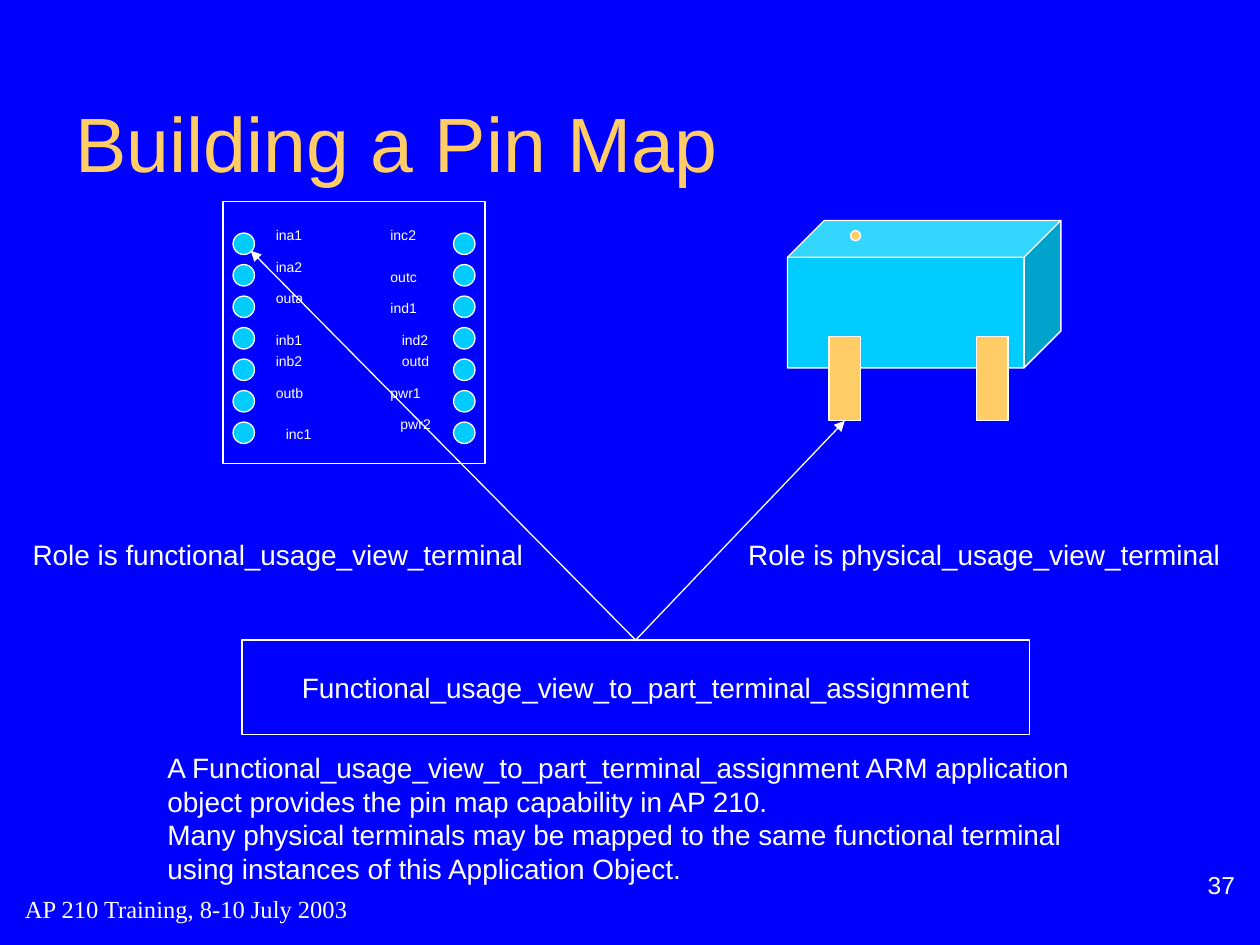
"""Builds the Pin Map slide: package terminals mapped to functional terminals."""
from dataclasses import dataclass

from lxml import etree
from pptx import Presentation
from pptx import util as u
from pptx.dml.color import RGBColor
from pptx.enum import shapes, text
from pptx.oxml.ns import qn


@dataclass(frozen=True)
class Theme:
    background: str = "0000FF"
    ink: str = "FFFFFF"
    accent: str = "FFCC66"
    body: str = "00CCFF"
    sans: str = "Arial"
    serif: str = "Times New Roman"
    title: int = 44
    text: int = 16
    footer: int = 14
    pin: int = 8
    line: float = 0.75


THEME = Theme()
KIND = shapes.MSO_SHAPE
ALIGN = text.PP_ALIGN
ANCHOR = text.MSO_ANCHOR
PIN_TOP, PIN_STEP, PIN_SIZE = 1.85, 0.25, 0.17
PIN_COLUMNS = (1.85, 3.6)
PIN_LABELS = [
    ("ina1", 2.09, 1.75, 0.41), ("ina2", 2.09, 2, 0.41),
    ("outa", 2.09, 2.25, 0.41), ("inb1", 2.09, 2.58, 0.41),
    ("inb2", 2.09, 2.75, 0.41), ("outb", 2.09, 3, 0.41),
    ("inc1", 2.17, 3.33, 0.4), ("inc2", 3, 1.75, 0.4),
    ("outc", 3, 2.08, 0.41), ("ind1", 3, 2.33, 0.41),
    ("ind2", 3.09, 2.58, 0.41), ("outd", 3.09, 2.75, 0.41),
    ("pwr1", 3, 3, 0.44), ("pwr2", 3.08, 3.25, 0.44),
]
NOTES = [
    "A Functional_usage_view_to_part_terminal_assignment ARM application "
    "object provides the pin map capability in AP 210.",
    "Many physical terminals may be mapped to the same functional terminal "
    "using instances of this Application Object.",
]


def color(value):
    return RGBColor.from_string(value)


def place(*lengths):
    return [u.Inches(length) for length in lengths]


def write(frame, lines, size, ink=THEME.ink, font=THEME.sans, align=ALIGN.LEFT,
          anchor=ANCHOR.TOP, wrap=True):
    frame.word_wrap = wrap
    frame.vertical_anchor = anchor
    for index, line in enumerate(lines):
        para = frame.add_paragraph() if index else frame.paragraphs[0]
        para.alignment = align
        span = para.add_run()
        span.text = line
        span.font.size = u.Pt(size)
        span.font.name = font
        span.font.color.rgb = color(ink)


def add_label(page, lines, at, size, **style):
    frame = page.shapes.add_textbox(*place(*at)).text_frame
    write(frame, lines, size, **style)
    return frame


def add_caption(page, words, at, size):
    """Adds a one-line label whose right margin is left free for the text."""
    add_label(page, [words], at, size).margin_right = 0


def add_outlined(page, kind, at, fill=None):
    box = page.shapes.add_shape(kind, *place(*at))
    box.shadow.inherit = False
    if fill:
        box.fill.solid()
        box.fill.fore_color.rgb = color(fill)
    else:
        box.fill.background()
    box.line.color.rgb = color(THEME.ink)
    box.line.width = u.Pt(THEME.line)
    return box


def add_arrow(page, source, end):
    arrow = page.shapes.add_connector(shapes.MSO_CONNECTOR.STRAIGHT, 0, 0, *place(*end))
    arrow.begin_connect(source, 0)
    arrow.line.color.rgb = color(THEME.ink)
    arrow.line.width = u.Pt(THEME.line)
    etree.SubElement(arrow.line._get_or_add_ln(), qn("a:tailEnd"), type="triangle")
    etree.SubElement(arrow._element.spPr, qn("a:effectLst"))
    return arrow


def add_title(page, words):
    title = page.shapes.title
    title.left, title.top, title.width, title.height = place(0.5, 0.5, 9, 1.25)
    write(title.text_frame, [words], THEME.title, ink=THEME.accent, anchor=ANCHOR.MIDDLE)


def add_package(page):
    """Draws the physical part and returns its left leg."""
    cube = add_outlined(page, KIND.CUBE, (6.25, 1.75, 2.17, 1.17), THEME.body)
    cube.adjustments[0] = 0.25
    legs = [add_outlined(page, KIND.RECTANGLE, (left, 2.67, 0.25, 0.67), THEME.accent)
            for left in (6.58, 7.75)]
    add_outlined(page, KIND.OVAL, (6.75, 1.83, 0.08, 0.08), THEME.accent)
    return legs[0]


def add_functional_view(page):
    add_outlined(page, KIND.RECTANGLE, (1.77, 1.6, 2.08, 2.08))
    for left in PIN_COLUMNS:
        for row in range(len(PIN_LABELS) // len(PIN_COLUMNS)):
            top = PIN_TOP + row * PIN_STEP
            add_outlined(page, KIND.OVAL, (left, top, PIN_SIZE, PIN_SIZE), THEME.body)
    for name, left, top, width in PIN_LABELS:
        add_caption(page, name, (left, top, width, 0.24), THEME.pin)


def add_assignment(page, leg):
    box = add_outlined(page, KIND.RECTANGLE, (1.92, 5.08, 6.25, 0.75))
    write(box.text_frame, ["Functional_usage_view_to_part_terminal_assignment"],
          THEME.text, align=ALIGN.CENTER, anchor=ANCHOR.MIDDLE, wrap=False)
    add_arrow(page, box, (6.71, 3.33)).end_connect(leg, 2)
    add_arrow(page, box, (1.99, 1.99))
    add_caption(page, "Role is physical_usage_view_terminal",
                (5.84, 4.22, 3.94, 0.37), THEME.text)
    add_caption(page, "Role is functional_usage_view_terminal",
                (0.16, 4.22, 4.09, 0.37), THEME.text)


def add_footer(page):
    add_label(page, ["AP 210 Training, 8-10 July 2003"], (0.1, 6.96, 4.67, 0.5),
              THEME.footer, font=THEME.serif, anchor=ANCHOR.MIDDLE)
    number = add_label(page, ["37"], (7.85, 6.72, 2.05, 0.42), THEME.footer,
                       align=ALIGN.RIGHT, anchor=ANCHOR.BOTTOM)
    number.margin_top = number.margin_bottom = 0


def main():
    deck = Presentation()
    deck.slide_width, deck.slide_height = place(10, 7.5)
    page = deck.slides.add_slide(deck.slide_layouts.get_by_name("Title Only"))
    page.background.fill.solid()
    page.background.fill.fore_color.rgb = color(THEME.background)
    add_title(page, "Building a Pin Map")
    leg = add_package(page)
    add_functional_view(page)
    add_assignment(page, leg)
    add_label(page, NOTES, (1.23, 5.91, 7.85, 1.17), THEME.text)
    add_footer(page)
    deck.save("out.pptx")


if __name__ == "__main__":
    main()
